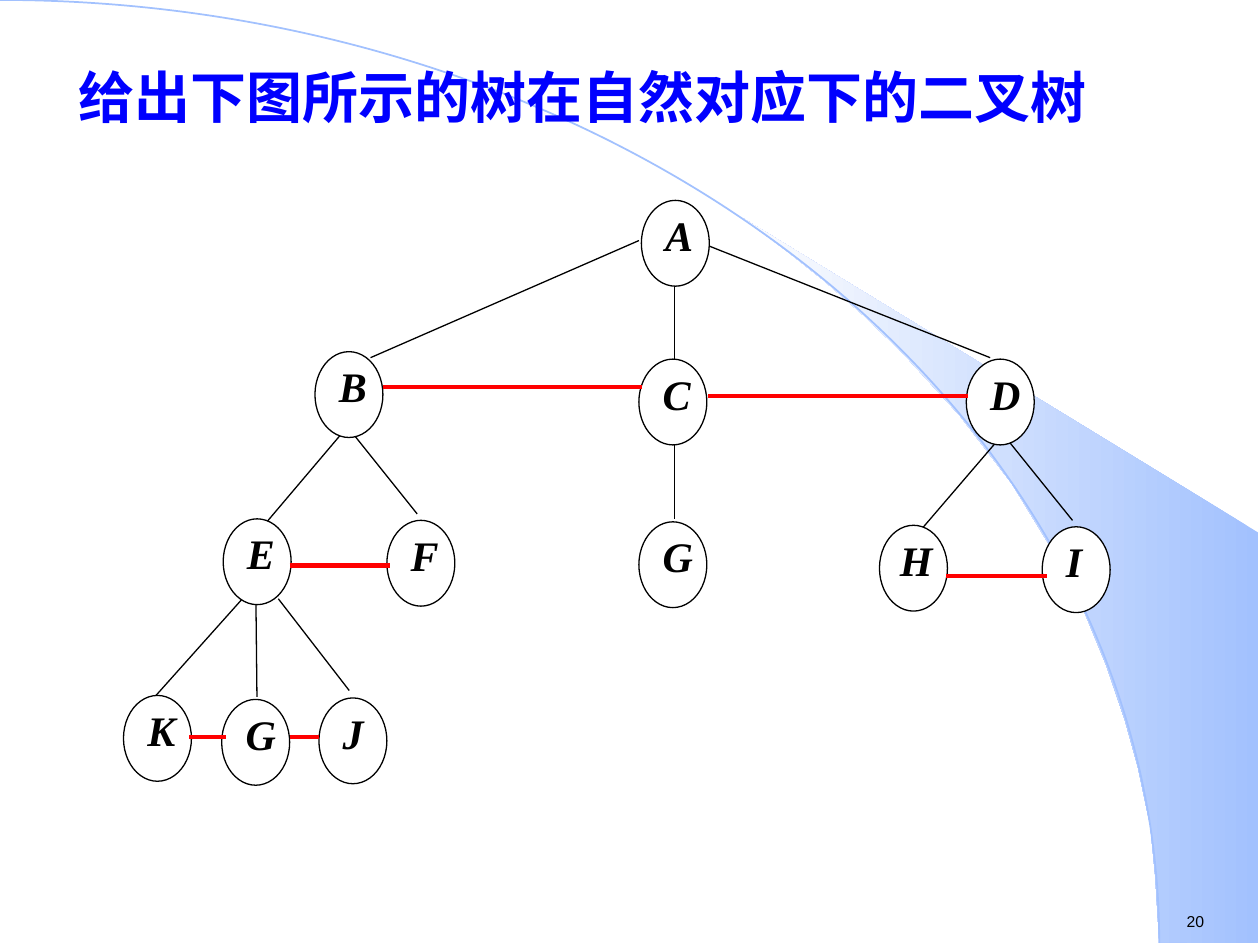
from lxml.etree import SubElement as Sub
from pptx import Presentation
from pptx.dml.color import RGBColor as Rgb
from pptx.enum.shapes import MSO_CONNECTOR as Link, MSO_SHAPE as Kind
from pptx.enum.text import MSO_ANCHOR as Anchor, PP_ALIGN as Align
from pptx.oxml.ns import qn
from pptx.util import Cm, Pt

TITLE = "给出下图所示的树在自然对应下的二叉树 "
NUMBER = "20"
NODES = [
    ("A", 12.93, 4.04),
    ("B", 6.35, 7.09), ("C", 12.88, 7.24), ("D", 19.48, 7.24),
    ("E", 4.5, 10.46), ("F", 7.8, 10.49), ("G", 12.88, 10.52),
    ("H", 17.73, 10.59), ("I", 21.01, 10.62),
    ("K", 2.49, 14.02), ("G", 4.47, 14.1), ("J", 6.43, 14.07),
]
EDGES = [
    (12.88, 4.85, 7.47, 7.21), (13.59, 5.56, 13.59, 7.85),
    (14.27, 4.95, 19.96, 7.21), (6.93, 8.69, 5.21, 10.72),
    (7.09, 8.71, 8.41, 10.36), (13.59, 8.81, 13.59, 10.46),
    (20.17, 8.81, 18.42, 10.85), (20.29, 8.84, 21.62, 10.49),
    (5.03, 11.91, 2.92, 14.27), (5.16, 12.19, 5.18, 14.05),
    (5.61, 12.07, 7.04, 13.92),
]
PEERS = [
    (7.72, 12.95, 7.8), (14.27, 19.51, 7.98), (5.84, 7.87, 11.4),
    (19.08, 21.11, 11.61), (3.81, 4.55, 14.86), (5.84, 6.43, 14.86),
]
SWEEP = [
    (23.37, 19), (25.37, 19.02), (25.37, 10.74), (14.96, 4.39),
    (15.85, 5.05), (16.59, 5.64), (17.4, 6.35), (18.19, 7.11),
    (19.35, 8.38), (20.4, 9.75), (21.13, 10.95), (21.79, 12.17),
    (22.3, 13.41), (22.68, 14.53), (22.94, 15.47), (23.19, 16.66),
    (23.29, 17.68),
]
THEME = {
    "ink": "000000", "paper": "FFFFFF", "head": "0000FF", "peer": "FF0000",
    "tint": "A2C1FE", "fade": "FEFEFE",
    "big": 32, "mid": 24, "small": 9, "thin": 0.75, "arc": 1, "thick": 2.5,
    "title": "Noto Sans CJK SC", "label": "Times New Roman", "num": "Arial",
}
OVAL = (1.37, 1.73)
LABEL = (0.48, 0.38, 0.62, 1.05)
WIDE = {"H": (0.41, 0.38, 0.81, 0.91)}


def tone(name):
    return Rgb.from_string(THEME[name])


def stroke(shape, color, width):
    shape.line.color.rgb = tone(color)
    shape.line.width = Pt(THEME[width])


def draw(shapes, kind, box, fill=None):
    shape = shapes.add_shape(kind, *map(Cm, box))
    shape.shadow.inherit = False
    if fill:
        shape.fill.solid()
        shape.fill.fore_color.rgb = tone(fill)
    else:
        shape.fill.background()
    return shape


def join(shapes, ends, color, width):
    line = shapes.add_connector(Link.STRAIGHT, *map(Cm, ends))
    stroke(line, color, width)
    Sub(line._element.spPr, qn("a:effectLst"))


def write(shape, text, face, size, color, pad=(0, 0), align=Align.LEFT,
          wrap=True, bold=False, slant=False):
    frame = shape.text_frame
    frame.word_wrap = wrap
    frame.margin_left = frame.margin_right = Cm(pad[0])
    frame.margin_top = frame.margin_bottom = Cm(pad[1])
    para = frame.paragraphs[0]
    para.alignment = align
    run = para.add_run()
    run.text = text
    font = run.font
    font.name, font.size = THEME[face], Pt(THEME[size])
    font.bold, font.italic = bold, slant
    font.color.rgb = tone(color)
    Sub(run._r.get_or_add_rPr(), qn("a:ea"), typeface=THEME[face])
    return frame


def backdrop(shapes):
    pen = shapes.build_freeform(*map(Cm, SWEEP[0]))
    pen.add_line_segments([(Cm(x), Cm(y)) for x, y in SWEEP[1:]], close=True)
    sweep = pen.convert_to_shape()
    sweep.shadow.inherit = False
    sweep.line.fill.background()
    sweep.fill.gradient()
    sweep.fill.gradient_angle = 180
    for stop, name, pos in zip(sweep.fill.gradient_stops, ("tint", "fade"), (0, 1)):
        stop.color.rgb = tone(name)
        stop.position = pos
    arc = draw(shapes, Kind.ARC, (-23.37, 0, 46.74, 38.02))
    stroke(arc, "tint", "arc")


def node(shapes, name, left, top):
    oval = draw(shapes, Kind.OVAL, (left, top, *OVAL), "paper")
    stroke(oval, "ink", "thin")
    dx, dy, wide, high = WIDE.get(name, LABEL)
    label = draw(shapes, Kind.RECTANGLE, (left + dx, top + dy, wide, high), "paper")
    label.line.fill.background()
    frame = write(label, name, "label", "mid", "ink", align=Align.JUSTIFY,
                  bold=True, slant=True)
    frame.vertical_anchor = Anchor.TOP
    frame.paragraphs[0].line_spacing = 0.8


def main():
    """Build the tree slide and save it."""
    deck = Presentation()
    deck.slide_width, deck.slide_height = Cm(25.4), Cm(19.05)
    shapes = deck.slides.add_slide(deck.slide_layouts[6]).shapes
    backdrop(shapes)
    num = shapes.add_textbox(*map(Cm, (23.67, 18.26, 1.96, 0.64)))
    write(num, NUMBER, "num", "small", "ink", (0.25, 0.13), wrap=False)
    for ends in EDGES:
        join(shapes, ends, "ink", "thin")
    for item in NODES:
        node(shapes, *item)
    for left, right, y in PEERS:
        join(shapes, (left, y, right, y), "peer", "thick")
    head = shapes.add_textbox(*map(Cm, (0.99, 0.43, 21.79, 3)))
    frame = write(head, TITLE, "title", "big", "head", (0.25, 0.13),
                  Align.CENTER, bold=True)
    frame.vertical_anchor = Anchor.MIDDLE
    deck.save("out.pptx")


if __name__ == "__main__":
    main()
